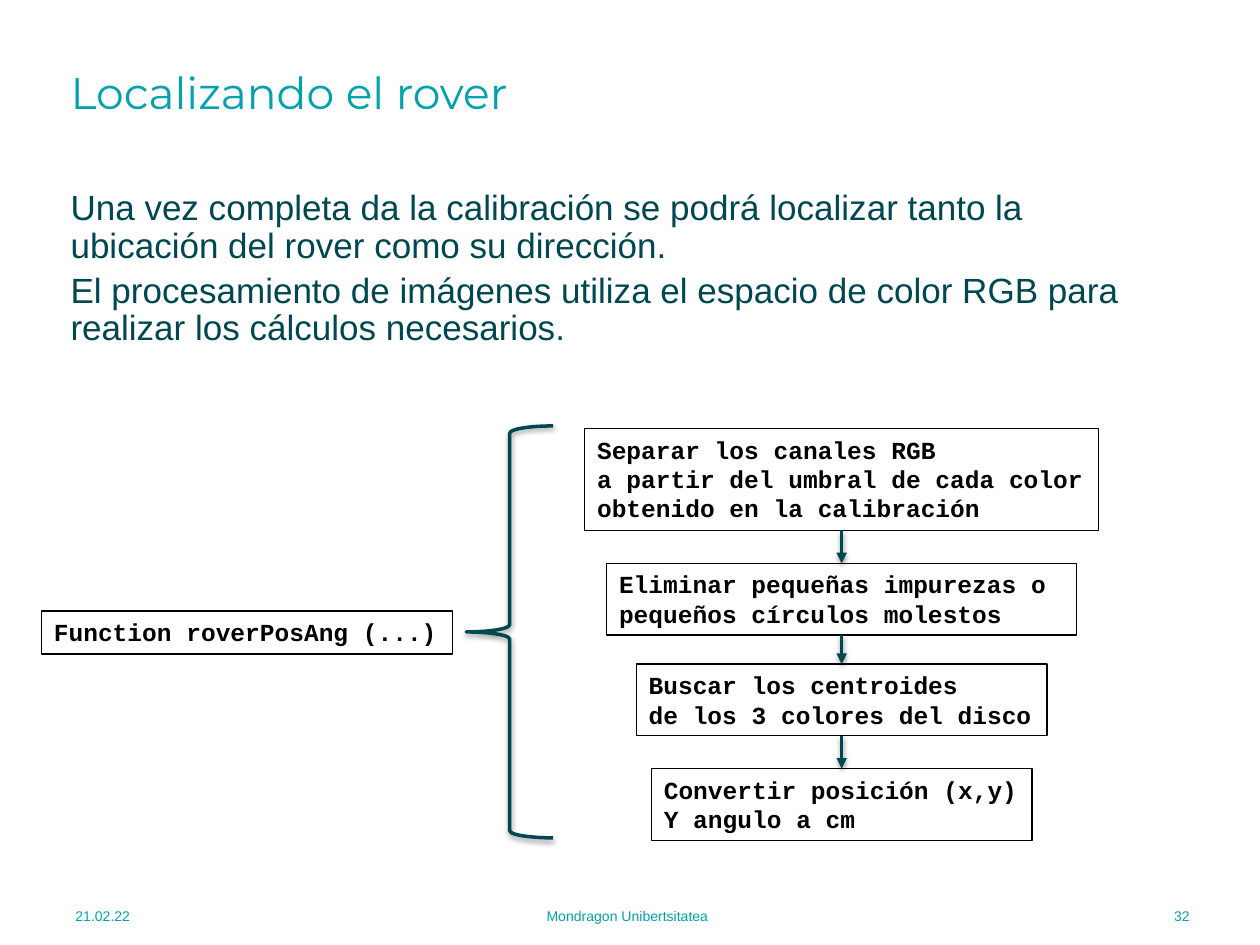
from dataclasses import dataclass

import lxml.etree
import pptx
import pptx.dml.color
import pptx.enum.shapes
import pptx.enum.text
import pptx.oxml.ns
import pptx.util

Inches = pptx.util.Inches
Pt = pptx.util.Pt
Align = pptx.enum.text.PP_ALIGN
Anchor = pptx.enum.text.MSO_ANCHOR
AutoSize = pptx.enum.text.MSO_AUTO_SIZE
Shape = pptx.enum.shapes.MSO_SHAPE
TOP, BOTTOM = 0, 2


@dataclass(frozen=True)
class Theme:
    accent: str = "00A3AD"
    dark: str = "004851"
    ink: str = "000000"
    title_font: str = "Montserrat"
    body_font: str = "Arial"
    code_font: str = "Courier New"
    title_size: float = 25.2
    body_size: float = 20
    code_size: float = 14
    footer_size: float = 8
    frame_width: float = 0.75
    stroke_width: float = 2


def color(value):
    return pptx.dml.color.RGBColor.from_string(value)


def add_xml(parent, tag, **attributes):
    child = lxml.etree.SubElement(parent, pptx.oxml.ns.qn(tag))
    for name, value in attributes.items():
        child.set(name, str(value))
    return child


class SlideBuilder:
    def __init__(self, slide, theme):
        self.slide = slide
        self.theme = theme

    def set_font(self, para, name, size, value, bold=False):
        para.font.name = name
        para.font.size = Pt(size)
        para.font.color.rgb = color(value)
        para.font.bold = bold

    def place(self, shape, left, top, width, height):
        shape.left, shape.top = Inches(left), Inches(top)
        shape.width, shape.height = Inches(width), Inches(height)

    def stroke(self, shape, value, width):
        shape.line.color.rgb = color(value)
        shape.line.width = Pt(width)

    def soft_shadow(self, effects):
        """Fill an effect list with a faint shadow falling straight down."""
        shadow = add_xml(effects, "a:outerShdw", blurRad=Pt(3.1), dist=Pt(1.6),
                         dir=90 * 60000, rotWithShape=0)
        tint = add_xml(shadow, "a:srgbClr", val=self.theme.ink)
        add_xml(tint, "a:alpha", val=38000)

    def title(self, text, *bounds):
        title = self.slide.shapes.title
        self.place(title, *bounds)
        frame = title.text_frame
        frame.text = text
        frame.auto_size = AutoSize.NONE
        frame.vertical_anchor = Anchor.MIDDLE
        para = frame.paragraphs[0]
        para.alignment = Align.LEFT
        para.line_spacing = 0.9
        self.set_font(para, self.theme.title_font, self.theme.title_size, self.theme.accent)

    def body(self, texts, *bounds):
        body = self.slide.placeholders[1]
        self.place(body, *bounds)
        frame = body.text_frame
        frame.text = "\n".join(texts)
        frame.auto_size = AutoSize.NONE
        for index, para in enumerate(frame.paragraphs):
            properties = para._p.get_or_add_pPr()
            properties.set("marL", "0")
            properties.set("indent", "0")
            add_xml(properties, "a:buNone")
            para.line_spacing = 0.9
            para.space_before = Pt(4 if index else 0)
            self.set_font(para, self.theme.body_font, self.theme.body_size, self.theme.dark)

    def footer(self, text, alignment, left, width):
        box = self.slide.shapes.add_textbox(Inches(left), Inches(7.07), Inches(width), Inches(0.4))
        frame = box.text_frame
        frame.text = text
        frame.word_wrap = True
        frame.vertical_anchor = Anchor.MIDDLE
        para = frame.paragraphs[0]
        para.alignment = alignment
        para.space_after = Pt(6)
        self.set_font(para, self.theme.body_font, self.theme.footer_size, self.theme.accent)

    def preset(self, kind, left, top, width, height):
        shape = self.slide.shapes.add_shape(
            kind, Inches(left), Inches(top), Inches(width), Inches(height))
        shape.shadow.inherit = False
        shape.fill.background()
        return shape

    def code_box(self, lines, *bounds):
        box = self.preset(Shape.RECTANGLE, *bounds)
        self.stroke(box, self.theme.ink, self.theme.frame_width)
        frame = box.text_frame
        frame.text = "\n".join(lines)
        frame.word_wrap = False
        frame.auto_size = AutoSize.SHAPE_TO_FIT_TEXT
        frame.vertical_anchor = Anchor.TOP
        for para in frame.paragraphs:
            para.alignment = Align.LEFT
            self.set_font(para, self.theme.code_font, self.theme.code_size, self.theme.ink, bold=True)
        return box

    def brace(self, *bounds):
        brace = self.preset(Shape.RIGHT_BRACE, *bounds)
        brace.rotation = 180
        self.stroke(brace, self.theme.dark, self.theme.stroke_width)
        self.soft_shadow(brace._element.spPr.find(pptx.oxml.ns.qn("a:effectLst")))

    def arrow(self, upper, lower):
        arrow = self.slide.shapes.add_connector(
            pptx.enum.shapes.MSO_CONNECTOR.STRAIGHT, 0, 0, 0, 0)
        arrow.begin_connect(upper, BOTTOM)
        arrow.end_connect(lower, TOP)
        self.stroke(arrow, self.theme.dark, self.theme.stroke_width)
        add_xml(arrow.line._get_or_add_ln(), "a:tailEnd", type="triangle")
        self.soft_shadow(add_xml(arrow._element.spPr, "a:effectLst"))


def main():
    deck = pptx.Presentation()
    deck.slide_width, deck.slide_height = Inches(10), Inches(7.5)
    page = SlideBuilder(deck.slides.add_slide(deck.slide_layouts[1]), Theme())

    page.title("Localizando el rover", 0.46, 0.52, 8.38, 0.47)
    page.body([
        "Una vez completa da la calibración se podrá localizar tanto la "
        "ubicación del rover como su dirección.",
        "El procesamiento de imágenes utiliza el espacio de color RGB para "
        "realizar los cálculos necesarios.",
    ], 0.46, 1.46, 8.98, 1.54)

    page.code_box(["Function roverPosAng (...)"], 0.33, 4.85, 3.26, 0.34)
    page.brace(3.7, 3.38, 0.69, 3.27)

    steps = [
        (["Separar los canales RGB", "a partir del umbral de cada color",
          "obtenido en la calibración"], 3.4, 4.08, 0.81),
        (["Eliminar pequeñas impurezas o", "pequeños círculos molestos"], 4.47, 3.73, 0.57),
        (["Buscar los centroides", "de los 3 colores del disco"], 5.27, 3.26, 0.57),
        (["Convertir posición (x,y)", "Y angulo a cm"], 6.1, 3.02, 0.57),
    ]
    axis = 6.68
    boxes = [page.code_box(lines, axis - width / 2, top, width, height)
             for lines, top, width, height in steps]
    for upper, lower in zip(boxes, boxes[1:]):
        page.arrow(upper, lower)

    page.footer("21.02.22", Align.LEFT, 0.5, 1.29)
    page.footer("Mondragon Unibertsitatea", Align.CENTER, 2.37, 5.22)
    page.footer("32", Align.RIGHT, 8.26, 1.28)
    deck.save("out.pptx")


if __name__ == "__main__":
    main()
